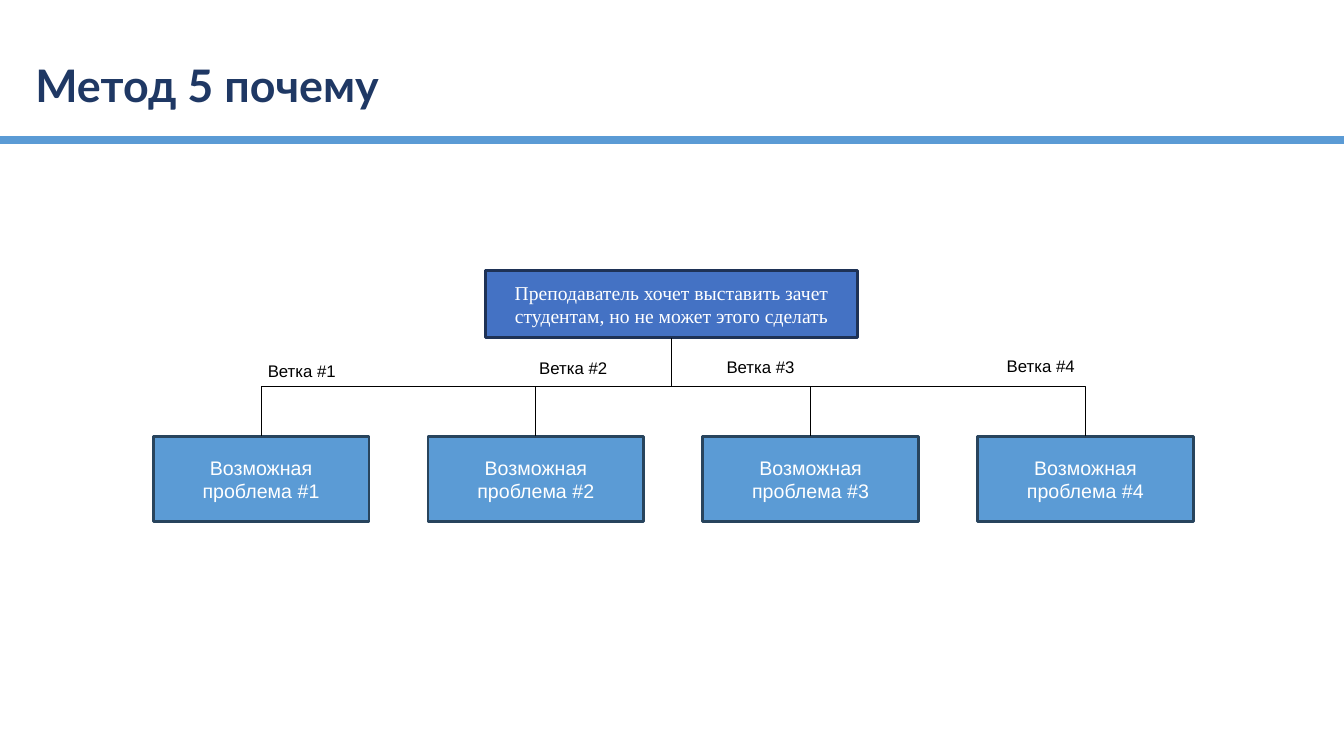
import pptx
import pptx.util
import pptx.dml.color
import pptx.enum.shapes
import pptx.enum.text
import pptx.oxml
import pptx.oxml.ns
from pptx.util import Cm, Pt
from pptx.dml.color import RGBColor

NAVY = RGBColor(0x1F, 0x38, 0x64)
SKY = RGBColor(0x5B, 0x9B, 0xD5)
SKY_EDGE = RGBColor(0x28, 0x44, 0x5D)
ROYAL = RGBColor(0x44, 0x72, 0xC4)
ROYAL_EDGE = RGBColor(0x1E, 0x32, 0x56)
WHITE = RGBColor(0xFF, 0xFF, 0xFF)
BLACK = RGBColor(0, 0, 0)

MIDDLE = pptx.enum.text.MSO_ANCHOR.MIDDLE
CONNECTOR = pptx.enum.shapes.MSO_CONNECTOR

presentation = pptx.Presentation()
presentation.slide_width = Cm(33.87)
presentation.slide_height = Cm(19.05)
slide = presentation.slides.add_slide(presentation.slide_layouts[6])


def add_box(left, top, width, height, text, font_name, fill, edge):
    box = slide.shapes.add_shape(
        pptx.enum.shapes.MSO_SHAPE.RECTANGLE, Cm(left), Cm(top), Cm(width), Cm(height))
    box.shadow.inherit = False
    box.fill.solid()
    box.fill.fore_color.rgb = fill
    box.line.color.rgb = edge
    box.line.width = Pt(2)
    box.text_frame.word_wrap = True
    box.text_frame.vertical_anchor = MIDDLE
    paragraph = box.text_frame.paragraphs[0]
    paragraph.text = text
    paragraph.alignment = pptx.enum.text.PP_ALIGN.CENTER
    paragraph.font.name = font_name
    paragraph.font.size = Pt(14)
    paragraph.font.color.rgb = WHITE
    return box


def style_line(line, color, width):
    line.line.color.rgb = color
    line.line.width = Pt(width)
    line._element.spPr.append(pptx.oxml.parse_xml(
        f"<a:effectLst {pptx.oxml.ns.nsdecls('a')}/>"))


# Title
title = slide.shapes.add_textbox(Cm(0.64), Cm(1.35), Cm(21.06), Cm(1.75))
title.text_frame.word_wrap = True
title.text_frame.vertical_anchor = MIDDLE
heading = title.text_frame.paragraphs[0]
heading.text = "Метод 5 почему"
heading.line_spacing = 0.9
heading.font.name = "Lato"
heading.font.size = Pt(32)
heading.font.bold = True
heading.font.color.rgb = NAVY

# Rule under the title
title_rule = slide.shapes.add_connector(
    CONNECTOR.STRAIGHT, 0, Cm(3.53), presentation.slide_width, Cm(3.53))
style_line(title_rule, SKY, 6)

# Root question
root = add_box(12.24, 6.81, 9.37, 1.7,
               "Преподаватель хочет выставить зачет студентам, но не может этого сделать",
               "Times New Roman", ROYAL, ROYAL_EDGE)
root_x = root.left + root.width // 2
root_bottom = root.top + root.height

# Possible problems, each with a branch up to the root and a branch label
label_places = [(6.5, 8.97), (13.34, 8.89), (18.06, 8.86), (25.12, 8.84)]
for index, (label_left, label_top) in enumerate(label_places):
    number = index + 1
    problem = add_box(3.86 + 6.925 * index, 10.99, 5.44, 2.16,
                      f"Возможная проблема #{number}", "Arial", SKY, SKY_EDGE)
    problem_x = problem.left + problem.width // 2

    branch = slide.shapes.add_connector(
        CONNECTOR.ELBOW, problem_x, problem.top, root_x, root_bottom)
    branch.begin_connect(problem, 0)
    branch.end_connect(root, 2)
    style_line(branch, BLACK, 0.75)

    # The elbow leaves vertically, so its frame is turned a quarter about its centre
    rise = problem.top - root_bottom
    reach = abs(root_x - problem_x)
    branch.left = (problem_x + root_x - rise) // 2
    branch.top = (problem.top + root_bottom - reach) // 2
    branch.width, branch.height = rise, reach
    frame = branch._element.spPr.get_or_add_xfrm()
    on_left = problem_x < root_x
    frame.rot = 90 if on_left else 270
    frame.flipH = on_left
    frame.flipV = True

    label = slide.shapes.add_textbox(Cm(label_left), Cm(label_top), Cm(2.24), Cm(0.77))
    label.text_frame.word_wrap = False
    label.text_frame.auto_size = pptx.enum.text.MSO_AUTO_SIZE.SHAPE_TO_FIT_TEXT
    caption = label.text_frame.paragraphs[0]
    caption.text = f"Ветка #{number}"
    caption.font.name = "Arial"
    caption.font.size = Pt(12)
    caption.font.color.rgb = BLACK

presentation.save("out.pptx")
